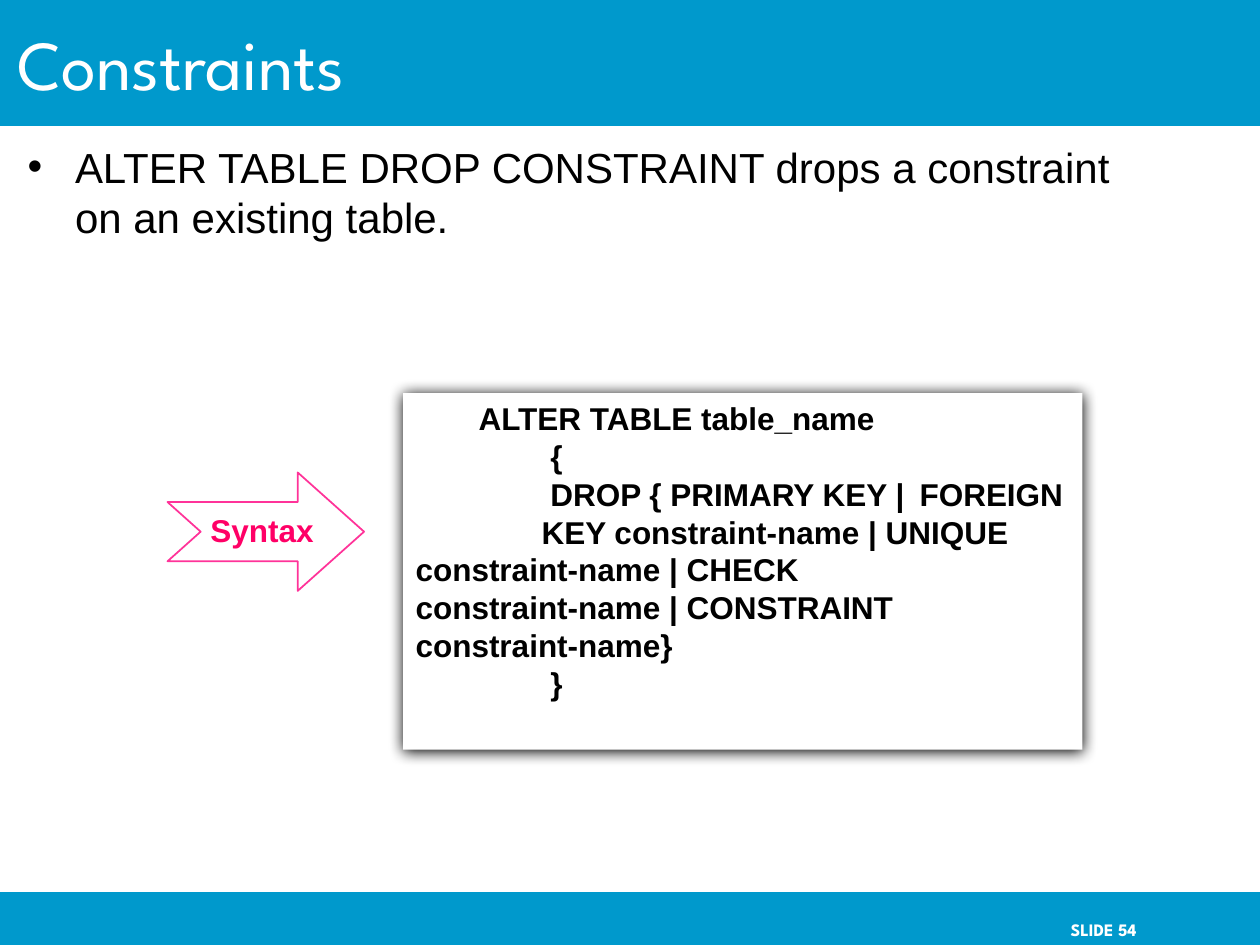
from dataclasses import dataclass

from lxml import etree
from pptx import Presentation
from pptx.dml.color import RGBColor
from pptx.enum.shapes import MSO_SHAPE
from pptx.enum.text import MSO_ANCHOR, MSO_AUTO_SIZE, PP_ALIGN
from pptx.oxml.ns import qn
from pptx.util import Inches, Pt

RECT, ARROW = MSO_SHAPE.RECTANGLE, MSO_SHAPE.NOTCHED_RIGHT_ARROW
TOP, MIDDLE = MSO_ANCHOR.TOP, MSO_ANCHOR.MIDDLE
LEFT, RIGHT = PP_ALIGN.LEFT, PP_ALIGN.RIGHT
NO_FIT = MSO_AUTO_SIZE.NONE


@dataclass(frozen=True)
class Theme:
    band: str = "0099CC"
    paper: str = "FFFFFF"
    ink: str = "000000"
    outline: str = "FF3399"
    accent: str = "FF0066"
    heading: str = "League Spartan"
    text: str = "Arial"
    title_size: int = 40
    body_size: int = 24
    code_size: int = 18
    footer_size: int = 10


@dataclass(frozen=True)
class Box:
    left: float
    top: float
    width: float
    height: float

    def lengths(self) -> tuple:
        return tuple(Inches(v) for v in (self.left, self.top, self.width, self.height))


@dataclass(frozen=True)
class Style:
    font: str
    size: int
    color: str
    bold: bool = False
    align: PP_ALIGN = LEFT
    anchor: MSO_ANCHOR = TOP
    insets: tuple = (0.1, 0.05, 0.1, 0.05)


THEME = Theme()
TITLE = Style(THEME.heading, THEME.title_size, THEME.paper, anchor=MIDDLE)
BODY = Style(THEME.text, THEME.body_size, THEME.ink, insets=(0.1, 0.05, 0.1, 0))
CODE = Style(THEME.text, THEME.code_size, THEME.ink, True)
LABEL = Style(THEME.text, THEME.code_size, THEME.accent, True, insets=(0.17, 0.05, 0.1, 0.05))
FOOTER = Style(THEME.heading, THEME.footer_size, THEME.paper, True, RIGHT, MIDDLE,
               (0.1, 0.22, 0.48, 0.05))

BANDS = (Box(0, 0, 10, 1), Box(0, 7.08, 10, 0.42))
CODE_LINES = (
    "ALTER TABLE table_name",
    " \t {",
    "  \t DROP { PRIMARY KEY | \tFOREIGN \tKEY constraint-name | UNIQUE "
    "\tconstraint-name | CHECK \tconstraint-name | CONSTRAINT \tconstraint-name}",
    "\t }",
)


def write(s, lines: tuple, style: Style) -> None:
    """Fill a shape with paragraphs in one style."""
    tf = s.text_frame
    tf.word_wrap = True
    tf.auto_size = NO_FIT
    tf.vertical_anchor = style.anchor
    tf.margin_left, tf.margin_top, tf.margin_right, tf.margin_bottom = map(Inches, style.insets)
    tf.text = "\n".join(lines)
    for p in tf.paragraphs:
        p.alignment = style.align
        p.space_before = Pt(0)
        for r in p.runs:
            r.font.name, r.font.size, r.font.bold = style.font, Pt(style.size), style.bold
            r.font.color.rgb = RGBColor.from_string(style.color)


def add_block(shapes, kind: MSO_SHAPE, box: Box, fill: str, line: str = ""):
    """Add a flat preset shape, outlined only when a line colour is given."""
    s = shapes.add_shape(kind, *box.lengths())
    s.shadow.inherit = False
    s.fill.solid()
    s.fill.fore_color.rgb = RGBColor.from_string(fill)
    if line:
        s.line.color.rgb = RGBColor.from_string(line)
        s.line.width = Pt(1)
    else:
        s.line.fill.background()
    return s


def add_text(shapes, box: Box, text: str, style: Style) -> None:
    write(shapes.add_textbox(*box.lengths()), (text,), style)


def fill_placeholder(s, box: Box, text: str, style: Style) -> None:
    s.left, s.top, s.width, s.height = box.lengths()
    write(s, (text,), style)


def add_soft_shadow(s) -> None:
    effects = s._element.spPr.find(qn("a:effectLst"))
    shadow = etree.SubElement(effects, qn("a:outerShdw"), blurRad=str(Pt(8.5)),
                              dist=str(Pt(1)), dir="5400000", algn="ctr", rotWithShape="0")
    etree.SubElement(shadow, qn("a:srgbClr"), val=THEME.ink)


def set_inch_tabs(p, count: int) -> None:
    tabs = etree.SubElement(p._p.get_or_add_pPr(), qn("a:tabLst"))
    for inch in range(1, count + 1):
        etree.SubElement(tabs, qn("a:tab"), pos=str(Inches(inch)), algn="l")


def main() -> None:
    prs = Presentation()
    prs.slide_width, prs.slide_height = Inches(10), Inches(7.5)
    slide = prs.slides.add_slide(prs.slide_layouts[1])
    shapes = slide.shapes

    # Bands, sent behind the placeholders
    for i, box in enumerate(BANDS):
        band = add_block(shapes, RECT, box, THEME.band)
        shapes._spTree.insert(2 + i, band._element)
    add_text(shapes, Box(7.42, 7.08, 2.08, 0.42), "SLIDE 54", FOOTER)

    # Title and bullet
    fill_placeholder(shapes.title, Box(0.04, 0, 8.5, 1), "Constraints", TITLE)
    fill_placeholder(slide.placeholders[1], Box(0.12, 1.07, 9, 5.42),
                     "ALTER TABLE DROP CONSTRAINT drops a constraint on an existing table.", BODY)

    # Syntax arrow with its label
    group = shapes.add_group_shape()
    arrow = add_block(group.shapes, ARROW, Box(1.33, 3.75, 1.56, 0.94), THEME.paper, THEME.outline)
    arrow.adjustments[0], arrow.adjustments[1] = 0.5, 0.56
    add_text(group.shapes, Box(1.5, 4.01, 1.47, 0.68), "Syntax", LABEL)

    # Code panel
    panel = add_block(shapes, RECT, Box(3.2, 3.12, 5.39, 2.83), THEME.paper)
    add_soft_shadow(panel)
    write(panel, CODE_LINES, CODE)
    first, *rest = panel.text_frame.paragraphs
    first._p.get_or_add_pPr().set("marL", str(Inches(0.5)))
    for p in rest:
        set_inch_tabs(p, 5)

    prs.save("out.pptx")


if __name__ == "__main__":
    main()
